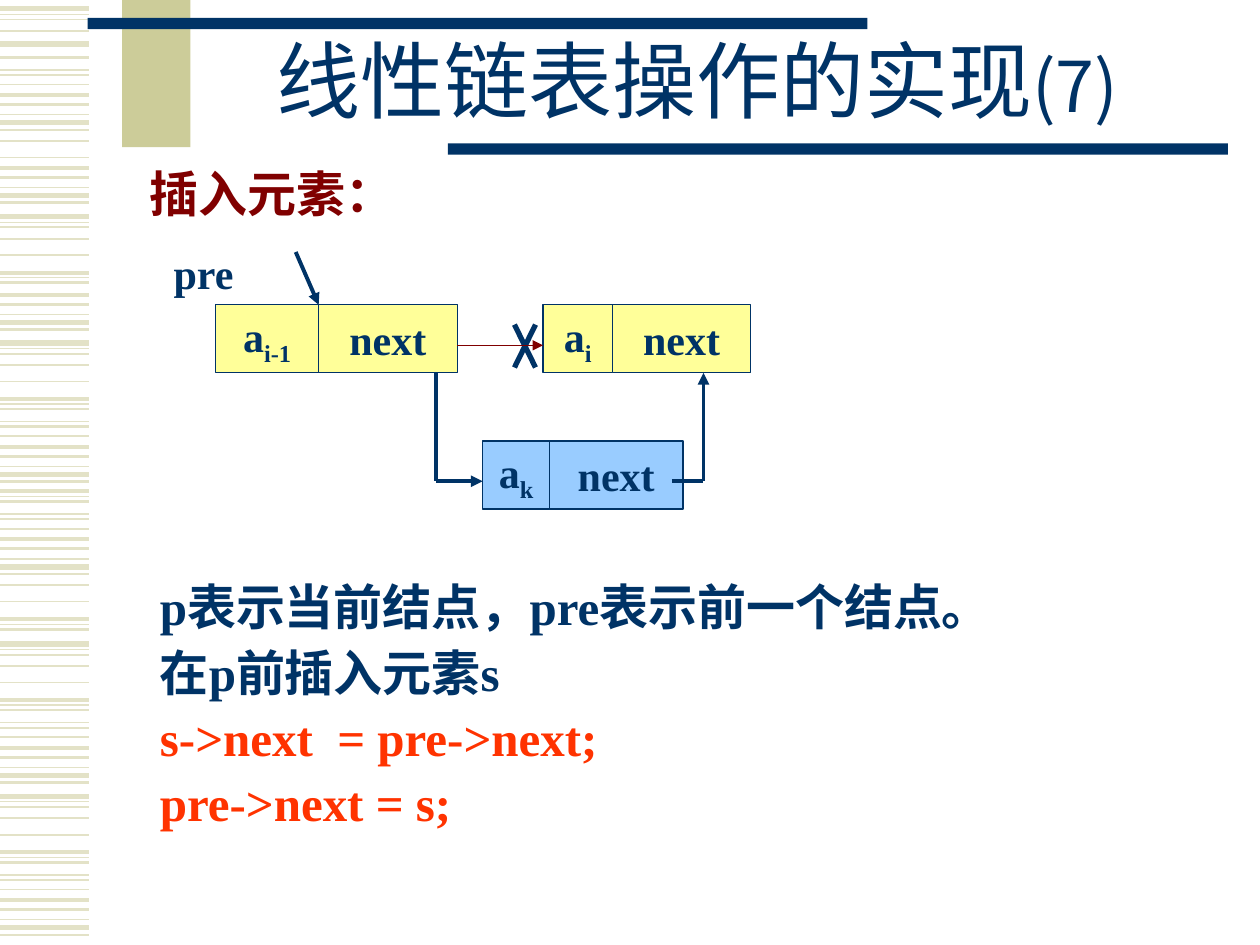
from dataclasses import dataclass

from lxml import etree
from pptx import Presentation
from pptx.dml.color import RGBColor
from pptx.enum.shapes import MSO_CONNECTOR, MSO_SHAPE
from pptx.enum.text import MSO_ANCHOR, MSO_AUTO_SIZE, PP_ALIGN
from pptx.oxml.ns import qn
from pptx.util import Pt

STRAIGHT, RECTANGLE = MSO_CONNECTOR.STRAIGHT, MSO_SHAPE.RECTANGLE
TOP, MIDDLE = MSO_ANCHOR.TOP, MSO_ANCHOR.MIDDLE
NO_FIT = MSO_AUTO_SIZE.NONE
LEFT, CENTER = PP_ALIGN.LEFT, PP_ALIGN.CENTER

COLORS = {
    "navy": "003366", "maroon": "800000", "red": "FF3300", "khaki": "CCCC99",
    "stripe": "E3E2C7", "yellow": "FFFF99", "blue": "99CCFF",
}
LATIN, CJK = "Times New Roman", "Noto Sans CJK JP"
CELL_HEIGHT = 38.9
STRIPE_LENGTH = 51

# (offset, line width) of each stripe within one margin motif
MOTIF = [
    (0, 3), (3.2, 0.75), (6.1, 1), (12.6, 1), (22, 1), (32, 2.25),
    (34.9, 0.75), (37.8, 1.5), (45, 0.75), (47.9, 1.5), (53.3, 1),
    (59.4, 2.25), (64.8, 1.5), (70.6, 0.75), (75.2, 3), (79.2, 1.5),
]


@dataclass
class StripeRun:
    """Stripes first to last of the motif, whose origin lies at top."""
    top: float
    first: int = 0
    last: int = 15


@dataclass
class Bar:
    left: float
    top: float
    width: float
    height: float
    color: str


@dataclass
class Node:
    left: float
    top: float
    data_width: float
    next_width: float
    subscript: str
    color: str


@dataclass
class Link:
    start: tuple[float, float]
    end: tuple[float, float]
    width: float = 2.25
    color: str = "navy"
    arrow: bool = False


STRIPE_RUNS = [
    StripeRun(5, last=3), StripeRun(25.2, last=0), StripeRun(-5, 7),
    StripeRun(58.7, 4, 4), StripeRun(36.7, 10), StripeRun(123.8, last=7),
    StripeRun(109.1, 11), StripeRun(196), StripeRun(248.8, 5),
    StripeRun(321.8, 3, 7), StripeRun(368), StripeRun(455),
]
BARS = [
    Bar(69.8, 0, 39, 84.2, "khaki"),
    Bar(50, 10.2, 445.7, 6.5, "navy"),
    Bar(256, 81.9, 445.7, 6.5, "navy"),
]
NODES = [
    Node(275.8, 252, 38.2, 76.3, "k", "blue"),
    Node(123.1, 174.2, 59, 79.2, "i-1", "yellow"),
    Node(310.3, 174.2, 39.6, 79.2, "i", "yellow"),
]
LINKS = [
    Link((249, 275), (275.8, 275), arrow=True),
    Link((249, 213.1), (249, 275)),
    Link((402, 275), (402, 213.1), arrow=True),
    Link((384, 275), (402, 275)),
    Link((294, 210), (306, 185.5), 3),
    Link((306, 210), (294, 185.5), 3),
    Link((261.3, 197.3), (310.3, 197.3), 0.75, "maroon", True),
    Link((169, 144), (182.1, 174.2), arrow=True),
]
EXPLANATION = [
    ("p表示当前结点，pre表示前一个结点。", "navy"),
    ("在p前插入元素s", "navy"),
    ("s->next  = pre->next;", "red"),
    ("pre->next = s;", "red"),
]


def rgb(name: str) -> RGBColor:
    return RGBColor.from_string(COLORS[name])


def apply(target, formats: dict) -> None:
    for attribute, value in formats.items():
        setattr(target, attribute, value)


def place(shape, left: float, top: float, width: float, height: float) -> None:
    apply(shape, {"left": Pt(left), "top": Pt(top),
                  "width": Pt(width), "height": Pt(height)})


def add_run(paragraph, text: str, size: float, color="navy", bold=True,
            latin=LATIN, subscript=False) -> None:
    run = paragraph.add_run()
    run.text = text
    apply(run.font, {"size": Pt(size), "bold": bold, "name": latin})
    run.font.color.rgb = rgb(color)
    properties = run._r.get_or_add_rPr()
    etree.SubElement(properties, qn("a:ea")).set("typeface", CJK)
    if subscript:
        properties.set("baseline", "-25000")


def add_rectangle(slide, bar: Bar):
    shape = slide.shapes.add_shape(RECTANGLE, *map(
        Pt, (bar.left, bar.top, bar.width, bar.height)))
    shape.shadow.inherit = False
    shape.fill.solid()
    shape.fill.fore_color.rgb = rgb(bar.color)
    shape.line.fill.background()
    return shape


def add_link(slide, link: Link) -> None:
    connector = slide.shapes.add_connector(
        STRAIGHT, *map(Pt, (*link.start, *link.end)))
    connector.line.color.rgb = rgb(link.color)
    connector.line.width = Pt(link.width)
    if link.arrow:
        tail = etree.SubElement(connector.line._get_or_add_ln(), qn("a:tailEnd"))
        tail.set("type", "triangle")
    etree.SubElement(connector._element.spPr, qn("a:effectLst"))


def add_stripes(slide, run: StripeRun) -> None:
    for offset, width in MOTIF[run.first:run.last + 1]:
        y = run.top + offset
        add_link(slide, Link((0, y), (STRIPE_LENGTH, y), width, "stripe"))


def add_node(slide, node: Node) -> None:
    """Draw the data cell and the next cell of a list node."""
    cells = [
        (node.left, node.data_width, "a", node.subscript),
        (node.left + node.data_width, node.next_width, "next", ""),
    ]
    for left, width, label, subscript in cells:
        cell = add_rectangle(
            slide, Bar(left, node.top, width, CELL_HEIGHT, node.color))
        cell.line.color.rgb = rgb("navy")
        cell.line.width = Pt(0.75)
        apply(cell.text_frame, {"word_wrap": False, "vertical_anchor": MIDDLE})
        paragraph = cell.text_frame.paragraphs[0]
        paragraph.alignment = CENTER
        add_run(paragraph, label, 24)
        if subscript:
            add_run(paragraph, subscript, 24, subscript=True)


def add_label(slide, frame: tuple, text: str, size: float, color: str,
              alignment) -> None:
    label = slide.shapes.add_textbox(*map(Pt, frame))
    apply(label.text_frame, {"word_wrap": True, "vertical_anchor": TOP})
    paragraph = label.text_frame.paragraphs[0]
    paragraph.alignment = alignment
    add_run(paragraph, text, size, color)


def fill_title(title) -> None:
    place(title, 108, 13.7, 581, 72)
    apply(title.text_frame, {"vertical_anchor": MIDDLE, "auto_size": NO_FIT})
    paragraph = title.text_frame.paragraphs[0]
    apply(paragraph, {"alignment": CENTER, "line_spacing": 0.85})
    for text, size in (("线性链表操作的实现", 48), ("(7)", 40)):
        add_run(paragraph, text, size, bold=False, latin=CJK)


def fill_body(body) -> None:
    place(body, 84.2, 329.8, 612, 153.4)
    frame = body.text_frame
    apply(frame, {"vertical_anchor": TOP, "auto_size": NO_FIT})
    for index, (text, color) in enumerate(EXPLANATION):
        paragraph = frame.add_paragraph() if index else frame.paragraphs[0]
        apply(paragraph, {"alignment": LEFT, "line_spacing": 0.9,
                          "space_before": Pt(7)})
        properties = paragraph._p.get_or_add_pPr()
        properties.set("marL", str(Pt(27)))
        properties.set("indent", str(-Pt(27)))
        etree.SubElement(properties, qn("a:buNone"))
        add_run(paragraph, text, 28, color)


def main() -> None:
    presentation = Presentation()
    apply(presentation, {"slide_width": Pt(720), "slide_height": Pt(540)})
    slide = presentation.slides.add_slide(presentation.slide_layouts[1])
    for draw, items in ((add_stripes, STRIPE_RUNS), (add_rectangle, BARS),
                        (add_node, NODES), (add_link, LINKS)):
        for item in items:
            draw(slide, item)
    fill_title(slide.shapes.title)
    fill_body(slide.placeholders[1])
    add_label(slide, (78.5, 90, 154, 41), "插入元素：", 28, "maroon", LEFT)
    add_label(slide, (90, 138.2, 52.6, 36), "pre", 24, "navy", CENTER)
    presentation.save("out.pptx")


if __name__ == "__main__":
    main()
